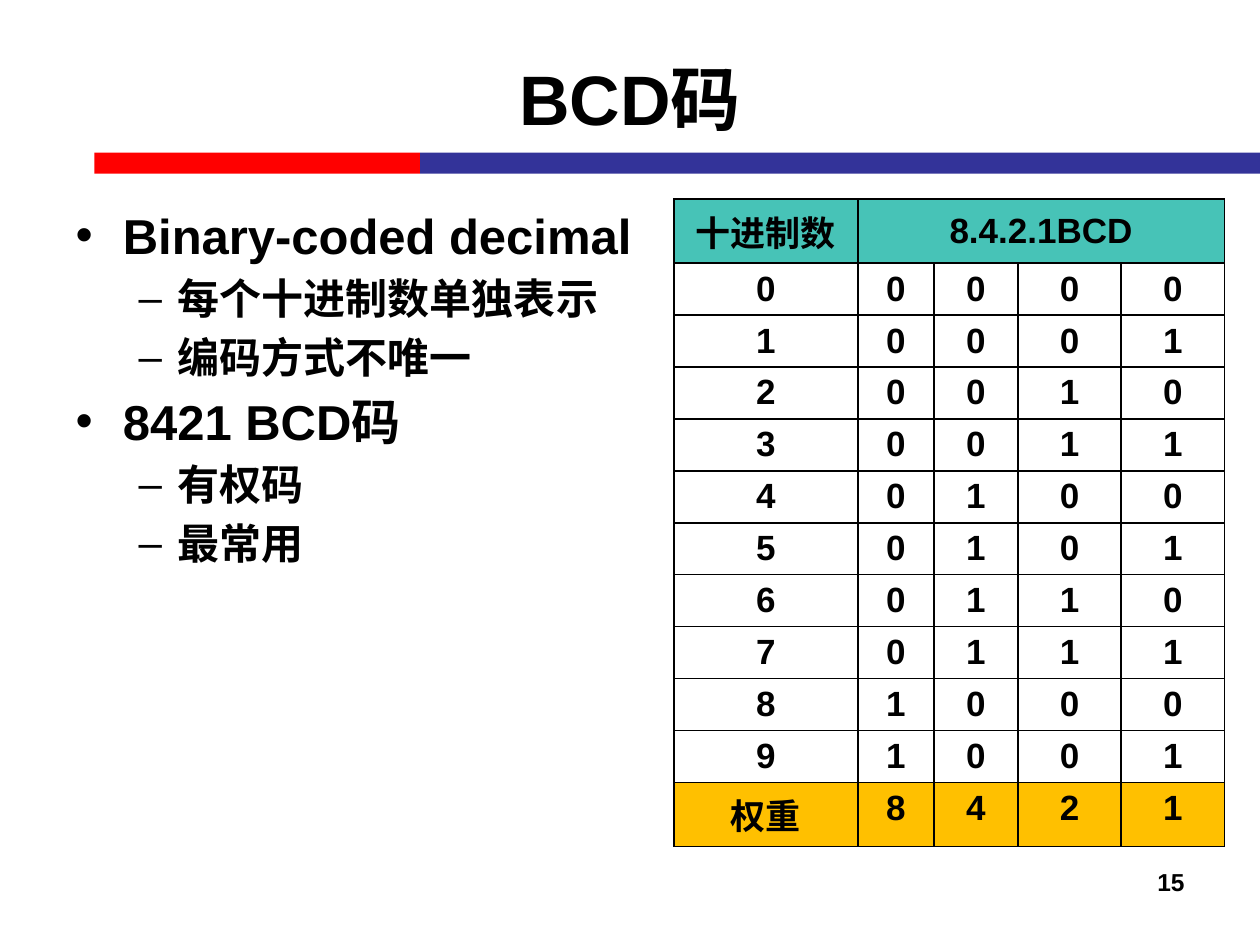
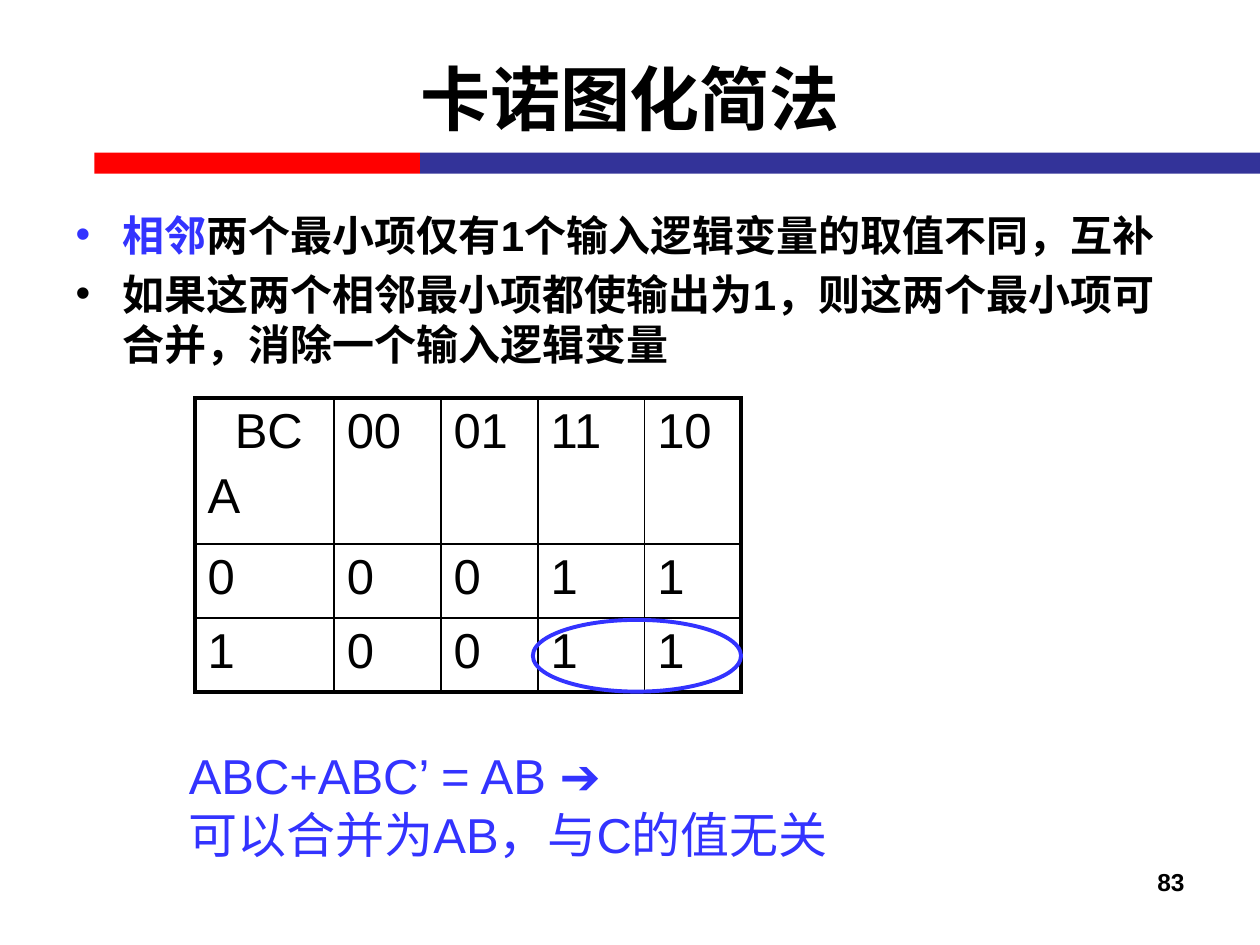
from lxml import etree
from pptx import Presentation
from pptx.dml.color import RGBColor
from pptx.enum import shapes, text
from pptx.oxml import ns
from pptx.util import Pt

BLACK = RGBColor(0, 0, 0)
RED = RGBColor(0xFF, 0, 0)
NAVY = RGBColor(0x33, 0x33, 0x99)
BLUE = RGBColor(0x33, 0x33, 0xFF)
TEAL = RGBColor(0x47, 0xC3, 0xB7)
AMBER = RGBColor(0xFF, 0xC0, 0)
LATIN, CJK = "Arial", "Noto Sans CJK SC"
THIN, THICK = 1, 2.25
ALIGN, ANCHOR = text.PP_ALIGN, text.MSO_ANCHOR

BANDS = [(RED, 54, 186), (NAVY, 240, 480)]

# Each item: level, size, list of (text, colour)
BCD = dict(
    title="BCD码", number="15", body_box=(36, 113.75, 355, 396),
    items=[
        (0, 28, [("Binary-coded decimal", BLACK)]),
        (1, 24, [("每个十进制数单独表示", BLACK)]),
        (1, 24, [("编码方式不唯一", BLACK)]),
        (0, 28, [("8421 BCD码", BLACK)]),
        (1, 24, [("有权码", BLACK)]),
        (1, 24, [("最常用", BLACK)]),
    ],
)
KARNAUGH = dict(
    title="卡诺图化简法", number="83", body_box=(36, 116, 648, 410),
    items=[
        (0, 24, [("相邻", BLUE), ("两个最小项仅有1个输入逻辑变量的取值不同，互补", BLACK)]),
        (0, 24, [("如果这两个相邻最小项都使输出为1，则这两个最小项可合并，消除一个输入逻辑变量", BLACK)]),
    ],
)
BCD_HEADER = ["十进制数", "8.4.2.1BCD", "", "", ""]
BCD_WEIGHTS = ["权重", *"8421"]
BCD_COLUMNS = [105, 43.5, 48, 59, 59]
MAP_ROWS = [
    ["BC\nA", "00", "01", "11", "10"],
    [*"00011"],
    [*"10011"],
]
MAP_COLUMNS = [79.5, 61, 55.5, 61, 55]
MAP_HEIGHTS = [83.5, 42.25, 42.25]
CONCLUSION = ["ABC+ABC’ = AB ➔", "可以合并为AB，与C的值无关"]


def write(para, content, size, color=BLACK, bold=False, asian=LATIN):
    span = para.add_run()
    span.text = content
    for name, value in dict(name=LATIN, size=Pt(size), bold=bold).items():
        setattr(span.font, name, value)
    span.font.color.rgb = color
    etree.SubElement(span.font._element, ns.qn("a:ea"), typeface=asian)


def paragraphs(frame, count):
    return [frame.paragraphs[0]] + [frame.add_paragraph() for _ in range(count - 1)]


def place(shape, box):
    for name, value in zip(("left", "top", "width", "height"), box):
        setattr(shape, name, Pt(value))


def add_text_box(page, box):
    frame = page.shapes.add_textbox(*map(Pt, box)).text_frame
    frame.word_wrap = True
    return frame


def add_page(deck, title, number, body_box, items):
    page = deck.slides.add_slide(deck.slide_layouts[1])
    for color, left, width in BANDS:
        band = page.shapes.add_shape(
            shapes.MSO_SHAPE.RECTANGLE, Pt(left), Pt(87.25), Pt(width), Pt(12))
        band.shadow.inherit = False
        band.fill.solid()
        band.fill.fore_color.rgb = color
        band.line.fill.background()

    heading, body = page.placeholders
    place(heading, (36, 10.5, 648, 90))
    heading.text_frame.vertical_anchor = ANCHOR.MIDDLE
    heading.text_frame.paragraphs[0].alignment = ALIGN.CENTER
    write(heading.text_frame.paragraphs[0], title, 40, bold=True)

    place(body, body_box)
    frame = body.text_frame
    frame.auto_size = text.MSO_AUTO_SIZE.NONE
    for index, (para, item) in enumerate(zip(paragraphs(frame, len(items)), items)):
        level, size, spans = item
        para.level = level
        para.space_before = Pt(0.2 * size if index else 0)
        for content, color in spans:
            write(para, content, size, color, bold=True)

    para = add_text_box(page, (516, 492, 168, 37.5)).paragraphs[0]
    para.alignment = ALIGN.RIGHT
    write(para, number, 14, bold=True)
    return page


def set_borders(cell, widths):
    """Draw black borders; widths are in the order left, right, top, bottom."""
    properties = cell._tc.get_or_add_tcPr()
    for index, (side, width) in enumerate(zip("LRTB", widths)):
        line = etree.Element(ns.qn("a:ln" + side), w=str(Pt(width)))
        fill = etree.SubElement(line, ns.qn("a:solidFill"))
        etree.SubElement(fill, ns.qn("a:srgbClr"), val=str(BLACK))
        properties.insert(index, line)


def add_grid(page, left, top, columns, heights):
    table = page.shapes.add_table(
        len(heights), len(columns), Pt(left), Pt(top),
        Pt(sum(columns)), Pt(sum(heights))).table
    table.first_row = table.horz_banding = False
    for column, width in zip(table.columns, columns):
        column.width = Pt(width)
    for row, height in zip(table.rows, heights):
        row.height = Pt(height)
    for cell in table.iter_cells():
        cell.fill.background()
    return table


def add_bcd_table(page):
    digits = [[str(n), *format(n, "04b")] for n in range(10)]
    rows = [BCD_HEADER, *digits, BCD_WEIGHTS]
    heights = [36.6] + [29.7] * len(digits) + [36.6]
    table = add_grid(page, 385.2, 113.75, BCD_COLUMNS, heights)
    fills = {0: TEAL, len(rows) - 1: AMBER}
    table.cell(0, 1).merge(table.cell(0, 4))
    for r, row in enumerate(rows):
        for c, content in enumerate(row):
            cell = table.cell(r, c)
            if r in fills:
                cell.fill.solid()
                cell.fill.fore_color.rgb = fills[r]
            else:
                cell.margin_bottom = Pt(1)  # keeps digit rows at their set height
            set_borders(cell, [THIN] * 4)
            cell.vertical_anchor = ANCHOR.TOP if r else ANCHOR.MIDDLE
            para = cell.text_frame.paragraphs[0]
            para.alignment = ALIGN.CENTER
            if content:
                write(para, content, 20, bold=True, asian=CJK)


def add_karnaugh_map(page):
    left, top = 111.5, 227.5
    table = add_grid(page, left, top, MAP_COLUMNS, MAP_HEIGHTS)
    last_row, last_column = len(MAP_HEIGHTS) - 1, len(MAP_COLUMNS) - 1
    for r, row in enumerate(MAP_ROWS):
        for c, content in enumerate(row):
            cell = table.cell(r, c)
            outer = (c == 0, c == last_column, r == 0, r == last_row)
            set_borders(cell, [THICK if edge else THIN for edge in outer])
            lines = content.split("\n")
            for index, para in enumerate(paragraphs(cell.text_frame, len(lines))):
                para.alignment = ALIGN.JUSTIFY
                para.space_before = Pt(5.6 if index else 0)
                write(para, lines[index], 28)
    corner = table.cell(0, 0).text_frame.paragraphs[0]
    corner._p.get_or_add_pPr().set("marL", str(Pt(15.5)))

    # Loop around the two adjacent ones at the end of the last row
    width = sum(MAP_COLUMNS[-2:]) + 3
    loop = page.shapes.add_shape(
        shapes.MSO_SHAPE.OVAL, Pt(left + sum(MAP_COLUMNS) - width),
        Pt(top + sum(MAP_HEIGHTS[:-1]) + 1), Pt(width), Pt(41))
    loop.shadow.inherit = False
    loop.fill.background()
    loop.line.color.rgb = BLUE
    loop.line.width = Pt(THICK)


def add_conclusion(page):
    frame = add_text_box(page, (100.8, 422.5, 384, 75))
    for para, content in zip(paragraphs(frame, len(CONCLUSION)), CONCLUSION):
        write(para, content, 28, BLUE)


def main():
    deck = Presentation()
    deck.slide_width, deck.slide_height = Pt(720), Pt(540)
    add_bcd_table(add_page(deck, **BCD))
    page = add_page(deck, **KARNAUGH)
    add_karnaugh_map(page)
    add_conclusion(page)
    deck.save("out.pptx")


if __name__ == "__main__":
    main()
